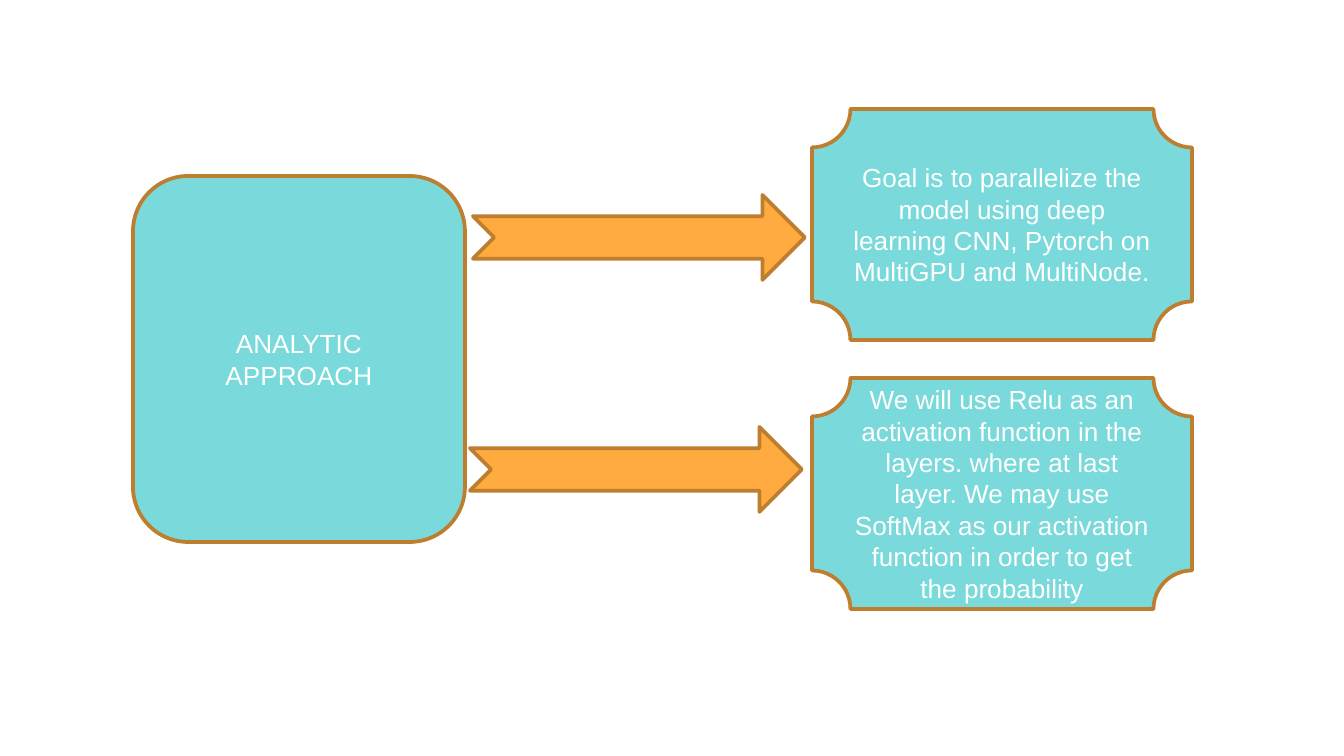
from pptx import Presentation
from pptx.dml.color import RGBColor
from pptx.enum.shapes import MSO_SHAPE
from pptx.enum.text import MSO_ANCHOR, PP_ALIGN
from pptx.util import Pt

EMU_PER_PX = 9144000 / 1344
TURQUOISE, ORANGE, BROWN, WHITE = "7AD9DA", "FFAB40", "BD7F2F", "FFFFFF"


def px(length):
    return round(length * EMU_PER_PX)


def color(hex_code):
    return RGBColor.from_string(hex_code)


class Diagram:
    font, size, line_width = "Arial", Pt(14), Pt(2)

    def __init__(self, slide):
        self.slide = slide

    def outlined(self, kind, left, top, width, height, fill):
        shape = self.slide.shapes.add_shape(
            kind, px(left), px(top), px(width), px(height))
        shape.shadow.inherit = False
        shape.fill.solid()
        shape.fill.fore_color.rgb = color(fill)
        shape.line.color.rgb = color(BROWN)
        shape.line.width = self.line_width
        return shape

    def panel(self, kind, left, top, width, height, text):
        frame = self.outlined(kind, left, top, width, height, TURQUOISE).text_frame
        frame.word_wrap = True
        frame.vertical_anchor = MSO_ANCHOR.MIDDLE
        paragraph = frame.paragraphs[0]
        paragraph.alignment = PP_ALIGN.CENTER
        run = paragraph.add_run()
        run.text = text
        run.font.name, run.font.size = self.font, self.size
        run.font.color.rgb = color(WHITE)

    def arrow(self, left, top):
        self.outlined(MSO_SHAPE.NOTCHED_RIGHT_ARROW, left, top, 332, 85, ORANGE)


def main():
    deck = Presentation()
    deck.slide_width, deck.slide_height = px(1344), px(756)
    diagram = Diagram(deck.slides.add_slide(deck.slide_layouts[6]))

    # Topic
    diagram.panel(MSO_SHAPE.ROUNDED_RECTANGLE, 133, 176, 332, 366,
                  "ANALYTIC APPROACH")

    # Arrows from the topic to its two points
    for left, top in ((473, 195), (470, 427)):
        diagram.arrow(left, top)

    # Points
    points = (
        "Goal is to parallelize the model using deep learning CNN, "
        "Pytorch on MultiGPU and MultiNode.",
        "We will use Relu as an activation function in the layers. "
        "where at last layer. We may use SoftMax as our activation "
        "function in order to get the probability",
    )
    for row, point in enumerate(points):
        diagram.panel(MSO_SHAPE.PLAQUE, 812, 109 + 269 * row, 380, 231, point)

    deck.save("out.pptx")


if __name__ == "__main__":
    main()
